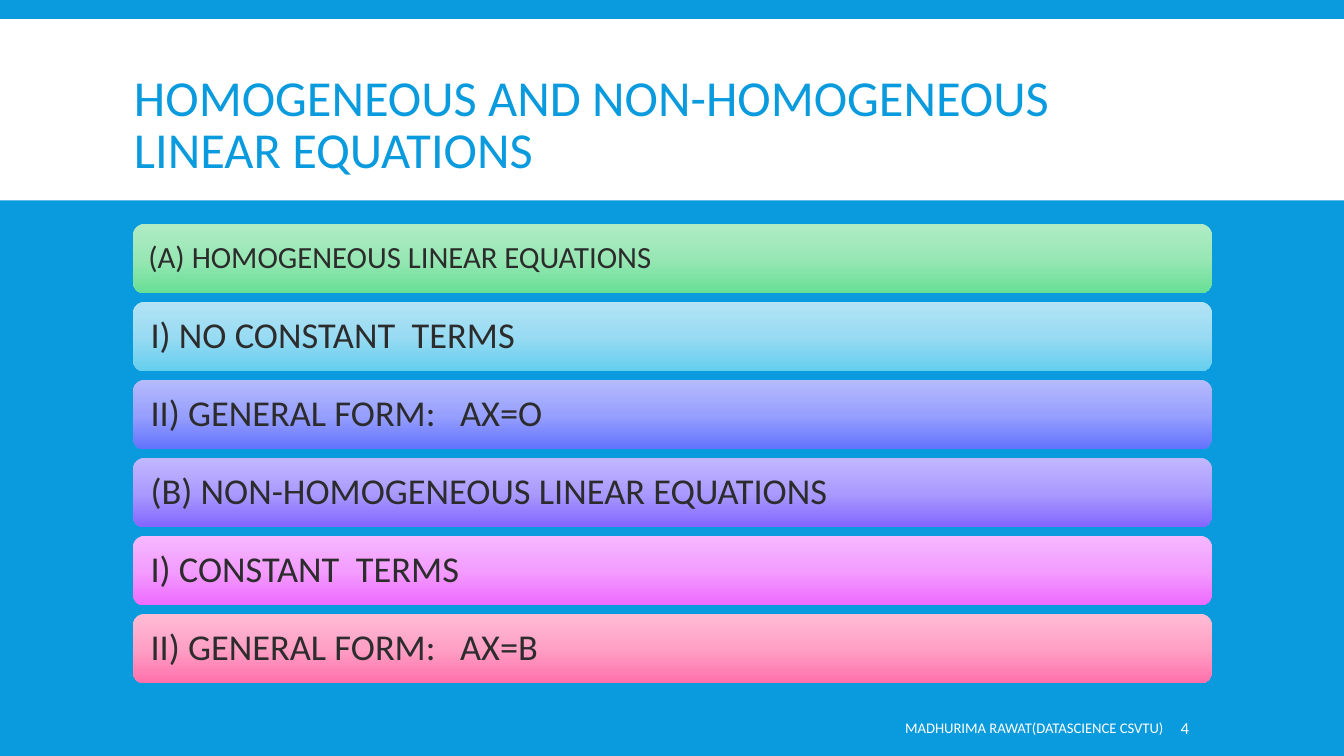
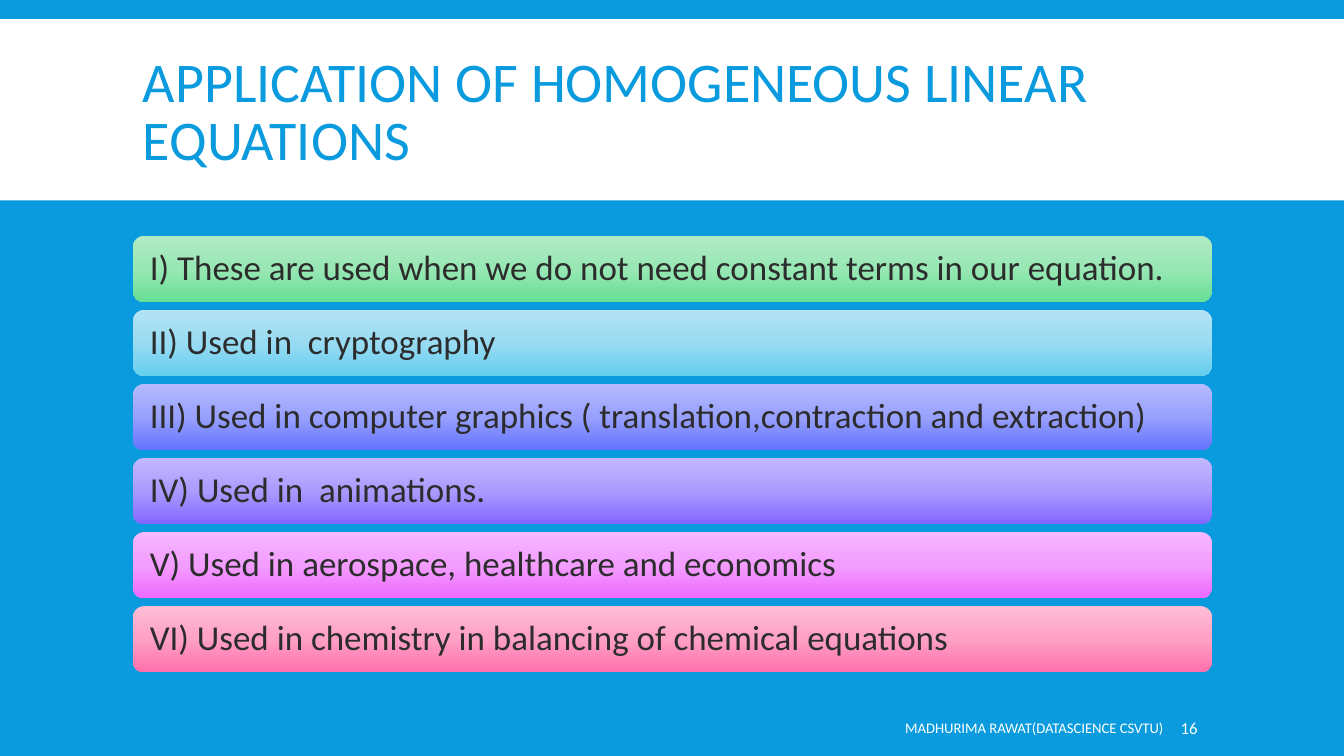
from copy import deepcopy
from dataclasses import dataclass

from pptx import Presentation
from pptx.dml.color import RGBColor
from pptx.enum.shapes import MSO_SHAPE
from pptx.enum.text import MSO_ANCHOR, PP_ALIGN
from pptx.oxml.ns import qn
from pptx.util import Inches, Pt

SLIDE_WIDTH = Inches(13.33)
SLIDE_HEIGHT = Inches(7.5)
COLUMNS = 100
ROWS = 100


@dataclass(frozen=True)
class Theme:
    font: str = "Calibri"
    blue: str = "099BDD"
    white: str = "FFFFFF"
    ink: str = "2C2C2C"
    footer_size: float = 10.5
    number_size: float = 12
    title_spacing: float = 0.85
    bar_spacing: float = 0.9
    bar_gradients: tuple = (
        ("B1EBC5", "98E7B4", "66DF95"),
        ("B3E3F4", "98DBF3", "64CEEE"),
        ("B5BBFD", "98A0FE", "6373FD"),
        ("C2B7FF", "AB9BFF", "8366FF"),
        ("F6B8FF", "F39DFF", "EE6AFF"),
        ("FFBCD5", "FFA0C5", "FF70AC"),
    )


@dataclass(frozen=True)
class Box:
    left: float
    top: float
    width: float
    height: float

    def place(self):
        column = SLIDE_WIDTH / COLUMNS
        row = SLIDE_HEIGHT / ROWS
        return (round(self.left * column), round(self.top * row),
                round(self.width * column), round(self.height * row))

    def stack(self, count, gap_share):
        height = self.height / (count + (count - 1) * gap_share)
        pitch = height * (1 + gap_share)
        return [Box(self.left, self.top + index * pitch, self.width, height)
                for index in range(count)]


THEME = Theme()
BAND = Box(0, 2.53, COLUMNS, 24)
FOOTER = Box(45.91, 93.6, 41.41, 5.33)
NUMBER = Box(87.47, 93.6, 7.73, 5.33)
BAR_GAP = 0.12
FOOTER_TEXT = "MADHURIMA RAWAT(DATASCIENCE CSVTU)"


def write(shape, text, size, color, spacing=1.0, align=PP_ALIGN.LEFT,
          inset=0.1, tab=None):
    frame = shape.text_frame
    frame.word_wrap = True
    frame.vertical_anchor = MSO_ANCHOR.MIDDLE
    frame.margin_left = Inches(inset)
    frame.margin_right = Inches(0.1)
    frame.margin_top = frame.margin_bottom = Inches(0.05)
    paragraph = frame.paragraphs[0]
    paragraph.text = text
    paragraph.alignment = align
    paragraph.line_spacing = spacing
    if tab:
        tabs = paragraph._p.get_or_add_pPr().makeelement(qn("a:tabLst"), {})
        stop = tabs.makeelement(qn("a:tab"), {"pos": str(Inches(tab)), "algn": "l"})
        tabs.append(stop)
        paragraph._p.get_or_add_pPr().append(tabs)
    paragraph.font.name = THEME.font
    paragraph.font.size = Pt(size)
    paragraph.font.color.rgb = RGBColor.from_string(color)


def add_text(slide, box, text, size, color, **style):
    write(slide.shapes.add_textbox(*box.place()), text, size, color, **style)


def add_panel(slide, box, kind):
    shape = slide.shapes.add_shape(kind, *box.place())
    shape.shadow.inherit = False
    shape.line.fill.background()
    return shape


def fill_gradient(shape, colors):
    shape.fill.gradient()
    shape.fill.gradient_angle = 270
    stops = shape._element.spPr.find(".//" + qn("a:gsLst"))
    stops.append(deepcopy(stops[-1]))
    for index, (stop, color) in enumerate(zip(shape.fill.gradient_stops, colors)):
        stop.position = index / (len(colors) - 1)
        stop.color.rgb = RGBColor.from_string(color)


def add_header(slide, box, title, size):
    band = add_panel(slide, BAND, MSO_SHAPE.RECTANGLE)
    band.fill.solid()
    band.fill.fore_color.rgb = RGBColor.from_string(THEME.white)
    add_text(slide, box, title, size, THEME.blue, spacing=THEME.title_spacing)


def add_bars(slide, box, entries, tab=None):
    boxes = box.stack(len(entries), BAR_GAP)
    for bar_box, colors, (text, size) in zip(boxes, THEME.bar_gradients, entries):
        bar = add_panel(slide, bar_box, MSO_SHAPE.ROUNDED_RECTANGLE)
        fill_gradient(bar, colors)
        write(bar, text, size, THEME.ink, spacing=THEME.bar_spacing,
              inset=size * 0.0054, tab=tab if "\t" in text else None)


def add_footer(slide, number):
    add_text(slide, FOOTER, FOOTER_TEXT, THEME.footer_size, THEME.white,
             align=PP_ALIGN.RIGHT)
    add_text(slide, NUMBER, str(number), THEME.number_size, THEME.white, inset=0.05)


def add_list_slide(presentation, title, title_size, title_box, bars_box,
                   entries, number, tab=None):
    slide = presentation.slides.add_slide(presentation.slide_layouts[6])
    add_header(slide, title_box, title, title_size)
    add_bars(slide, bars_box, entries, tab)
    add_footer(slide, number)


def main():
    presentation = Presentation()
    presentation.slide_width = SLIDE_WIDTH
    presentation.slide_height = SLIDE_HEIGHT
    background = presentation.slide_master.background.fill
    background.solid()
    background.fore_color.rgb = RGBColor.from_string(THEME.blue)

    add_list_slide(
        presentation,
        "HOMOGENEOUS AND NON-HOMOGENEOUS LINEAR EQUATIONS", 36,
        Box(9.23, 7.73, 80.87, 18.13), Box(9.9, 29.6, 80.27, 60.8),
        [
            ("(A) HOMOGENEOUS LINEAR EQUATIONS", 22),
            ("I) NO CONSTANT  TERMS", 26),
            ("II) GENERAL FORM:\tAX=O", 26),
            ("(B) NON-HOMOGENEOUS LINEAR EQUATIONS", 26),
            ("I) CONSTANT  TERMS", 26),
            ("II) GENERAL FORM:\tAX=B", 26),
        ],
        4, tab=3.07)

    applications = [
        "I) These are used when we do not need constant terms in our equation.",
        "II) Used in  cryptography",
        "III) Used in computer graphics ( translation,contraction and extraction)",
        "IV) Used in  animations.",
        "V) Used in aerospace, healthcare and economics",
        "VI) Used in chemistry in balancing of chemical equations",
    ]
    add_list_slide(
        presentation,
        "APPLICATION OF HOMOGENEOUS LINEAR EQUATIONS", 40,
        Box(9.9, 4.13, 80.27, 22), Box(9.9, 31.2, 80.27, 57.73),
        [(text, 25) for text in applications], 16)

    presentation.save("out.pptx")


if __name__ == "__main__":
    main()
